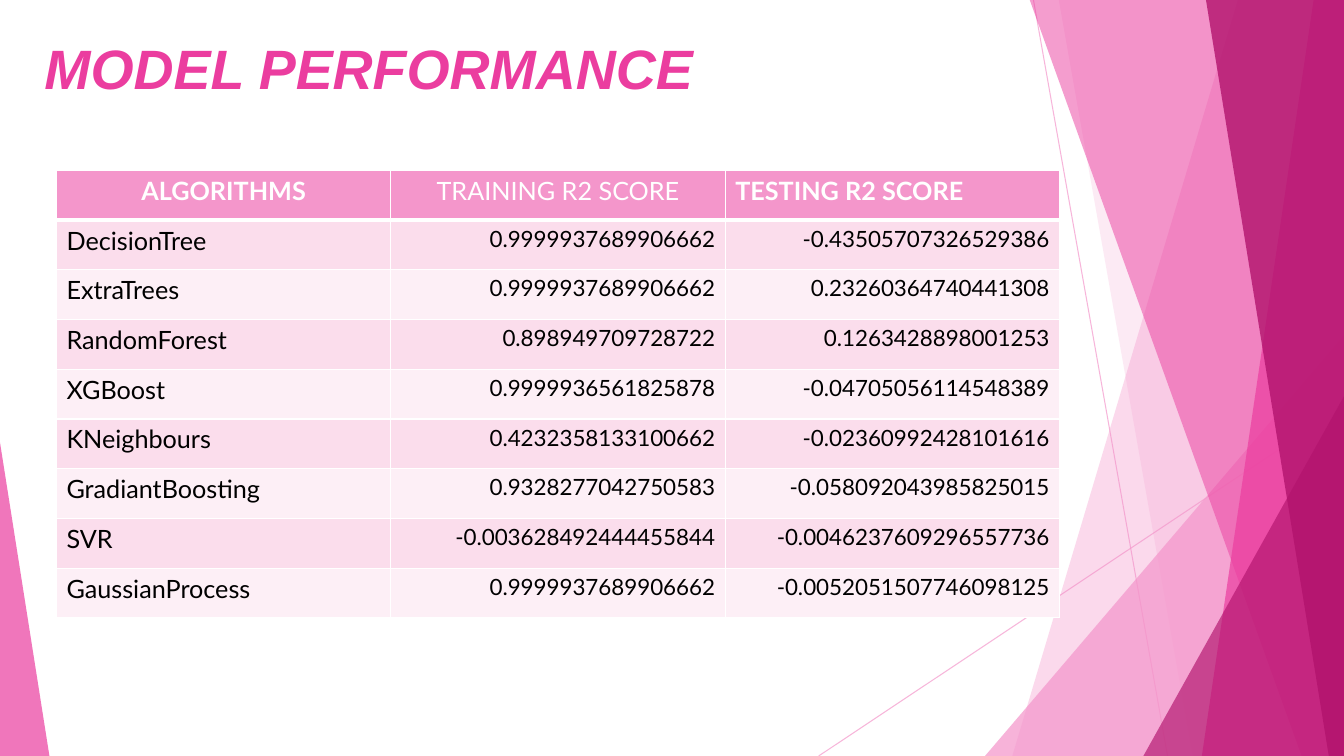
"""Build the model performance slide with its table of R2 scores."""
from lxml import etree
from pptx import Presentation
from pptx import util as u
from pptx.dml.color import RGBColor
from pptx.enum import shapes, text
from pptx.oxml import ns

PINK = RGBColor(0xF4, 0x96, 0xCB)
ROSE = RGBColor(0xEB, 0x3D, 0x9F)
PLUM = RGBColor(0xB2, 0x13, 0x6D)
DARK = RGBColor(0xFB, 0xDD, 0xEC)
PALE = RGBColor(0xFD, 0xEF, 0xF6)
WHITE = RGBColor(0xFF, 0xFF, 0xFF)
BLACK = RGBColor(0, 0, 0)
WIDE, HIGH = 13.33, 7.5
LEFT, MID, RIGHT = text.PP_ALIGN.LEFT, text.PP_ALIGN.CENTER, text.PP_ALIGN.RIGHT

HEADS = [("ALGORITHMS", MID, True), ("TRAINING R2 SCORE", MID, False),
         ("TESTING R2 SCORE", LEFT, True)]
SCORES = [
    ("DecisionTree", "0.9999937689906662", "-0.43505707326529386"),
    ("ExtraTrees", "0.9999937689906662", "0.23260364740441308"),
    ("RandomForest", "0.898949709728722", "0.1263428898001253"),
    ("XGBoost", "0.9999936561825878", "-0.04705056114548389"),
    ("KNeighbours", "0.4232358133100662", "-0.02360992428101616"),
    ("GradiantBoosting", "0.9328277042750583", "-0.058092043985825015"),
    ("SVR", "-0.003628492444455844", "-0.0046237609296557736"),
    ("GaussianProcess", "0.9999937689906662", "-0.0052051507746098125"),
]
RAYS = [(10.25, 0, 11.58, HIGH), (WIDE, 4.03, 8.12, HIGH)]


class Deck:
    """Hold the style and the current slide."""

    def __init__(self):
        self.show = Presentation()
        self.show.slide_width = u.Inches(WIDE)
        self.show.slide_height = u.Inches(HIGH)
        self.slide = self.show.slides.add_slide(self.show.slide_layouts[5])
        self.shapes = self.slide.shapes

    def fade(self, fill, alpha):
        """Make a solid fill partly transparent."""
        color = fill._xPr.find(".//" + ns.qn("a:srgbClr"))
        etree.SubElement(color, ns.qn("a:alpha"), val=str(alpha * 1000))

    def paint(self, shape, color, alpha):
        """Fill a shape and drop its line and shadow."""
        shape.shadow.inherit = False
        shape.fill.solid()
        shape.fill.fore_color.rgb = color
        self.fade(shape.fill, alpha)
        shape.line.fill.background()

    def ray(self, *ends):
        """Draw a thin slanted line."""
        line = self.shapes.add_connector(
            shapes.MSO_CONNECTOR.STRAIGHT, *map(u.Inches, ends))
        line.line.width = u.Pt(0.75)
        line.line.color.rgb = PINK
        self.fade(line.line.fill, 70)
        etree.SubElement(line._element.spPr, ns.qn("a:effectLst"))

    def band(self, top, base, color, alpha):
        """Draw a band from a slanted left edge to the slide's right edge."""
        dots = [(u.Inches(x), u.Inches(y)) for x, y in
                [(top, -0.01), (WIDE, -0.01), (WIDE, HIGH), (base, HIGH)]]
        form = self.shapes.build_freeform(*dots[0], scale=1)
        form.add_line_segments(dots[1:], close=True)
        self.paint(form.convert_to_shape(), color, alpha)

    def wedge(self, left, top, width, tip, color, alpha):
        """Draw a right triangle standing on the slide's bottom edge."""
        shape = self.shapes.add_shape(
            shapes.MSO_SHAPE.ISOSCELES_TRIANGLE,
            *map(u.Inches, (left, top, width, HIGH - top)))
        shape.adjustments[0] = tip
        self.paint(shape, color, alpha)

    def style(self, para, face, size, color, bold, align):
        """Format a paragraph and its runs."""
        para.alignment = align
        for run in para.runs:
            run.font.name = face
            run.font.size = u.Pt(size)
            run.font.color.rgb = color
            run.font.bold = bold

    def title(self, words):
        """Place and format the title."""
        head = self.shapes.title
        head.left, head.top, head.width, head.height = map(
            u.Inches, (0.34, 0.25, 9.4, 0.83))
        frame = head.text_frame
        frame.text = words
        frame.word_wrap = True
        frame.auto_size = text.MSO_AUTO_SIZE.NONE
        frame.vertical_anchor = text.MSO_ANCHOR.MIDDLE
        para = frame.paragraphs[0]
        self.style(para, "Arial", 39.6, ROSE, True, LEFT)
        para.runs[0].font.italic = True

    def edge(self, cell, base):
        """Draw white borders, with the bottom one base points wide."""
        props = cell._tc.get_or_add_tcPr()
        for side, size in zip("LRTB", (1, 1, 1, base)):
            line = etree.SubElement(props, ns.qn("a:ln" + side), w=str(u.Pt(size)))
            fill = etree.SubElement(line, ns.qn("a:solidFill"))
            etree.SubElement(fill, ns.qn("a:srgbClr"), val=str(WHITE))

    def cell(self, cell, words, fill, size, color, bold, align, base=1):
        """Write and format one table cell."""
        self.edge(cell, base)
        cell.fill.solid()
        cell.fill.fore_color.rgb = fill
        cell.text_frame.text = words
        self.style(cell.text_frame.paragraphs[0], "Lato", size, color, bold, align)

    def table(self, heads, rows):
        """Add the table of scores."""
        grid = self.shapes.add_table(
            len(rows) + 1, len(heads),
            *map(u.Inches, (0.56, 1.69, 9.95, 4.44))).table
        for col, (words, align, bold) in enumerate(heads):
            self.cell(grid.cell(0, col), words, PINK, 18, WHITE, bold, align, 3)
        for row, items in enumerate(rows, 1):
            fill = DARK if row % 2 else PALE
            for col, words in enumerate(items):
                size, align = (16, RIGHT) if col else (18, LEFT)
                self.cell(grid.cell(row, col), words, fill, size, BLACK, False, align)


def main():
    """Build and save the slide."""
    deck = Deck()
    for ends in RAYS:
        deck.ray(*ends)
    deck.band(12.28, 10.04, PINK, 36)
    deck.band(10.5, 11.83, PINK, 20)
    deck.wedge(9.77, 3.33, 3.56, 1, PINK, 72)
    deck.band(10.21, 12.91, ROSE, 50)
    deck.band(13.03, 11.92, ROSE, 70)
    deck.band(11.96, 13.18, PLUM, 80)
    deck.wedge(11.34, 3.93, 1.99, 1, PLUM, 66)
    deck.wedge(0, 4.39, 0.49, 0, ROSE, 70)
    deck.title("MODEL PERFORMANCE")
    deck.table(HEADS, SCORES)
    deck.show.save("out.pptx")


if __name__ == "__main__":
    main()
